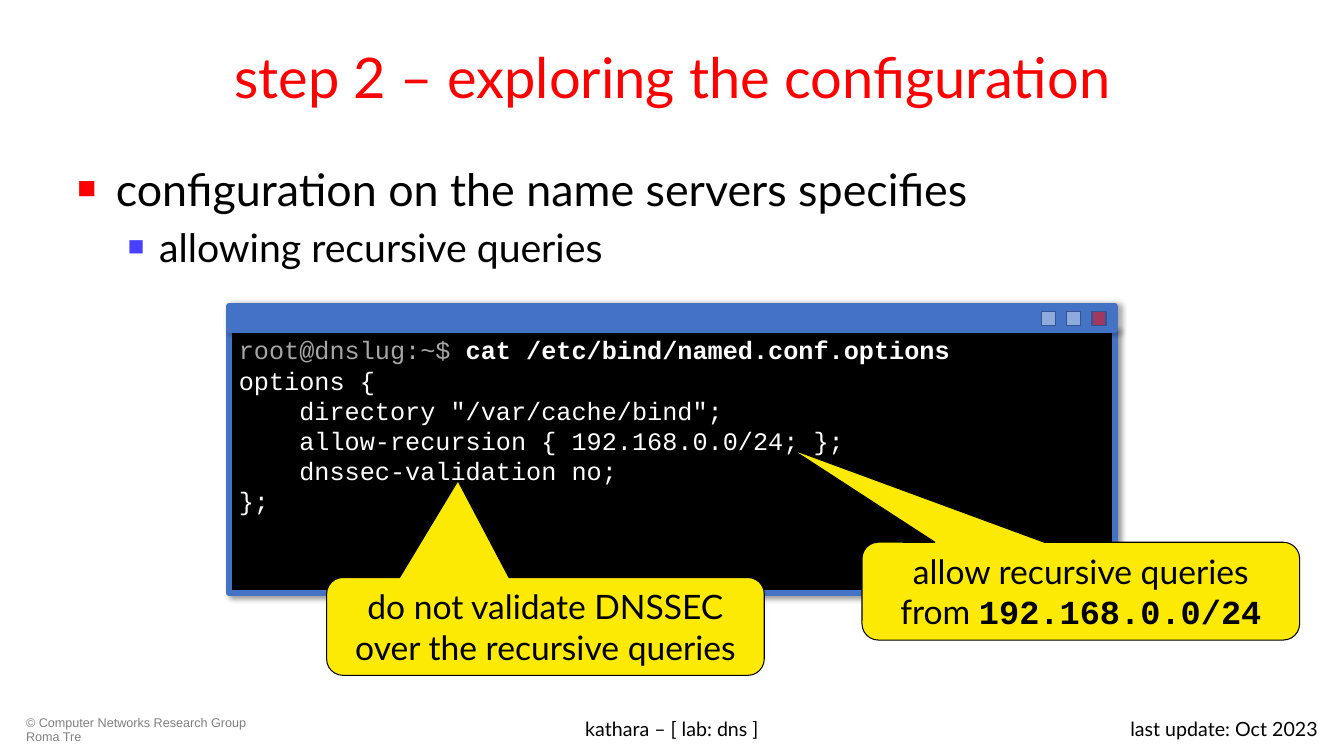
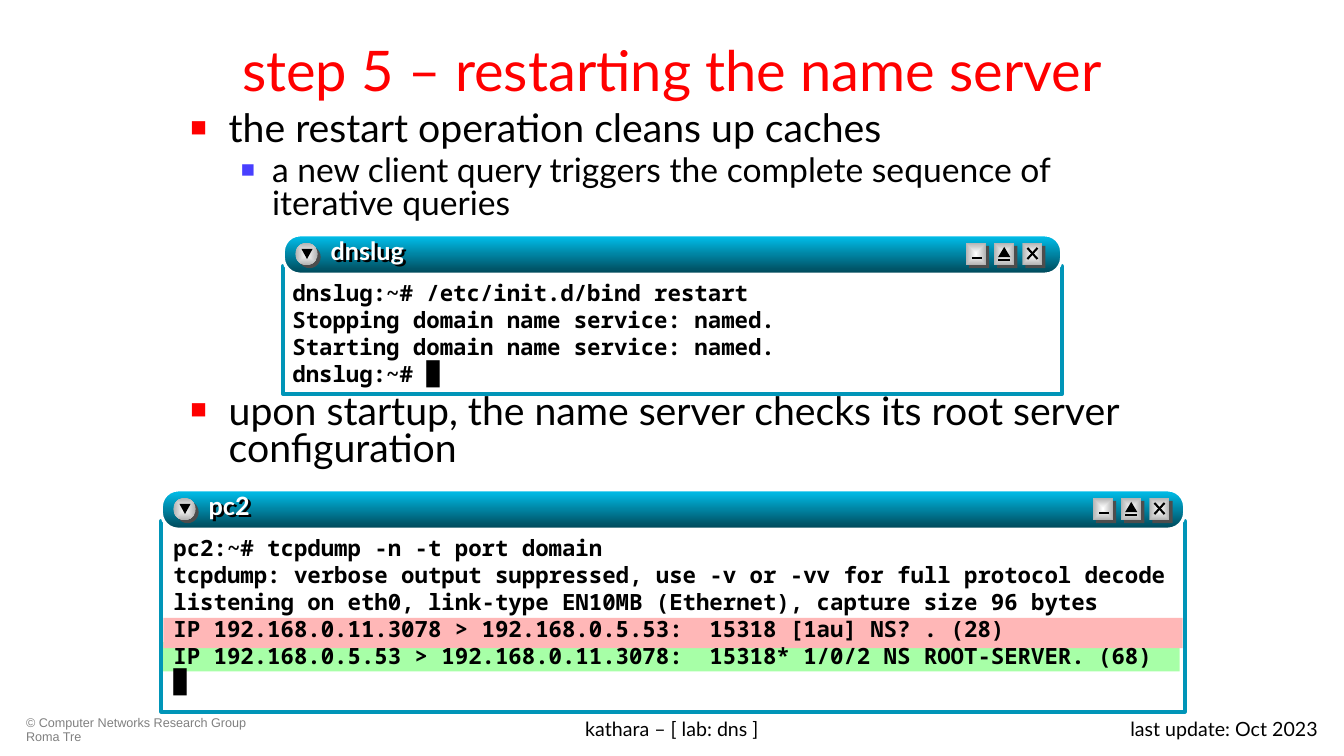
from lxml import etree
from pptx import Presentation
from pptx import util as u
from pptx.dml.color import RGBColor
from pptx.enum import shapes, text
from pptx.oxml import ns

RED, BLUE, BLACK, WHITE = "FF0000", "4472C4", "000000", "FFFFFF"
GREY, YELLOW, TEAL, DARK = "808080", "FCEA04", "0095B8", "4D4D4D"
BAR_GRADIENT, BUTTON_GRADIENT = ("00C1EE", "004656"), ("FFFFFF", "B2B2B2")
SANS, CODE, MONO = "Lato", "Courier New", "Noto Sans Mono"
SHAPE, ALIGN, ANCHOR = shapes.MSO_SHAPE, text.PP_ALIGN, text.MSO_ANCHOR
LEVELS = [(0.38, -0.38, RED), (0.81, -0.31, "483FFF")]


def color(value):
    """Turn a hex string into a colour."""
    return RGBColor.from_string(value)


def inches(*values):
    """Turn numbers into lengths."""
    return [u.Inches(value) for value in values]


def child(parent, tag, **attributes):
    """Append a drawing element to a parent."""
    values = {name: str(value) for name, value in attributes.items()}
    return etree.SubElement(parent, ns.qn(tag), values)


def style_span(span, size, font, fill, bold=False):
    """Format one run."""
    span.font.size = u.Pt(size)
    span.font.name = font
    span.font.bold = bold
    span.font.color.rgb = color(fill)


def write(box, paragraphs, size, font=SANS, fill=BLACK, bold=False,
          align=ALIGN.LEFT, anchor=ANCHOR.TOP, insets=(0.1, 0.05)):
    """Fill a shape with paragraphs of text."""
    frame = box.text_frame
    frame.word_wrap = True
    frame.vertical_anchor = anchor
    frame.margin_left = frame.margin_right = u.Inches(insets[0])
    frame.margin_top = frame.margin_bottom = u.Inches(insets[1])
    frame.text = "\n".join(paragraphs)
    for para in frame.paragraphs:
        para.alignment = align
        for span in para.runs:
            style_span(span, size, font, fill, bold)
    return frame


def add_span(para, words, *style):
    """Append a formatted run to a paragraph."""
    span = para.add_run()
    span.text = words
    style_span(span, *style)


def add_text(owner, at, paragraphs, size, **style):
    """Add a text box."""
    box = owner.shapes.add_textbox(*inches(*at))
    write(box, paragraphs, size, **style)
    return box


def add_shape(owner, kind, at, fill=None, line=None, width=1):
    """Add a preset shape with a plain fill and outline."""
    shape = owner.shapes.add_shape(kind, *inches(*at))
    shape.shadow.inherit = False
    if fill:
        shape.fill.solid()
        shape.fill.fore_color.rgb = color(fill)
    else:
        shape.fill.background()
    if line:
        shape.line.color.rgb = color(line)
        shape.line.width = u.Pt(width)
    else:
        shape.line.fill.background()
    return shape


def set_gradient(shape, stops, radial=False):
    """Fill a shape with a two-colour gradient."""
    shape.fill.gradient()
    for stop, value in zip(shape.fill.gradient_stops, stops):
        stop.color.rgb = color(value)
    if not radial:
        shape.fill.gradient_angle = 270
        return
    gradient = shape.element.spPr.find(ns.qn("a:gradFill"))
    gradient.remove(gradient.find(ns.qn("a:lin")))
    center = child(gradient, "a:path", path="shape")
    child(center, "a:fillToRect", l=50000, t=50000, r=50000, b=50000)


def set_shadow(shape, alpha, blur, distance, angle):
    """Give a shape a black outer shadow."""
    shape.shadow.inherit = False
    effects = shape.element.spPr.find(ns.qn("a:effectLst"))
    shadow = child(effects, "a:outerShdw", blurRad=u.Pt(blur), dist=u.Pt(distance),
                   dir=angle * 60000, algn="tl", rotWithShape=0)
    child(child(shadow, "a:srgbClr", val=BLACK), "a:alpha", val=alpha * 1000)


def add_line(owner, start, end):
    """Draw a thin black stroke."""
    line = owner.shapes.add_connector(shapes.MSO_CONNECTOR.STRAIGHT,
                                      *inches(*start, *end))
    line.line.color.rgb = color(BLACK)
    line.line.width = u.Pt(1.5)
    child(line.element.spPr, "a:effectLst")


def add_bullets(page, at, items, spacing=1.0):
    """Add a bulleted list of (level, size, words)."""
    box = add_text(page, at, [words for _, _, words in items], items[0][1])
    for index, (para, (level, size, _)) in enumerate(zip(box.text_frame.paragraphs, items)):
        margin, indent, bullet_color = LEVELS[level]
        para.level = level
        props = para._p.get_or_add_pPr()
        props.set("marL", str(u.Inches(margin)))
        props.set("indent", str(u.Inches(indent)))
        child(child(props, "a:buClr"), "a:srgbClr", val=bullet_color)
        child(props, "a:buSzPct", val=70000)
        child(props, "a:buFont", typeface="Arial")
        child(props, "a:buChar", char="■")
        para.line_spacing = spacing
        para.space_before = u.Pt(0.2 * size if index else 0)
        para.runs[0].font.size = u.Pt(size)


def add_page(deck, title, title_at):
    """Add a slide with its title and footers."""
    page = deck.slides.add_slide(deck.slide_layouts[6])
    owner = add_text(page, (0.16, 7.06, 2.49, 0.36),
                     ["© Computer Networks Research Group Roma Tre"], 9,
                     font="Arial", fill=GREY)
    owner.text_frame.paragraphs[0].line_spacing = 0.9
    add_text(page, title_at, [title], 40, fill=RED, align=ALIGN.CENTER,
             anchor=ANCHOR.MIDDLE)
    add_text(page, (10.13, 7.06, 3.04, 0.36), ["last update: Oct 2023"], 14,
             align=ALIGN.RIGHT)
    add_text(page, (3.41, 7.06, 6.51, 0.36), ["kathara – [ lab: dns ]"], 14,
             align=ALIGN.CENTER)
    return page


def add_terminal(page, left, top, width, height, prompt, command, output):
    """Add a dark terminal with a blue title bar."""
    group = page.shapes.add_group_shape()
    bar_height, side = 0.23, 0.14
    screen = add_shape(group, SHAPE.RECTANGLE, (left, top + bar_height, width, height),
                       BLACK, BLUE, 4.5)
    set_shadow(screen, 40, 4, 3, 45)
    frame = write(screen, [prompt] + output, 18, font=CODE, fill=WHITE)
    first = frame.paragraphs[0]
    first.runs[0].font.color.rgb = color("A6A6A6")
    add_span(first, command, 18, CODE, WHITE, True)
    bar = add_shape(group, SHAPE.RECTANGLE, (left, top, width, bar_height),
                    BLUE, BLUE, 4.5)
    set_shadow(bar, 32, 4, 2, 0)
    for index, fill in enumerate(["8FAADC", "8FAADC", RED]):
        button = add_shape(group, SHAPE.RECTANGLE,
                           (left + width - 0.73 + 0.25 * index, top + 0.05, side, side),
                           fill, "325491")
    solid = button.element.spPr.find(ns.qn("a:solidFill"))
    child(solid[0], "a:alpha", val=50000)


def add_callout(page, at, tip, words):
    """Add a yellow callout that points at a line of code."""
    callout = add_shape(page, SHAPE.ROUNDED_RECTANGULAR_CALLOUT, at, YELLOW, BLACK, 0.75)
    callout.adjustments[0], callout.adjustments[1] = tip
    return write(callout, [words], 24, align=ALIGN.CENTER, anchor=ANCHOR.MIDDLE)


def add_button(group, kind, left, top, width):
    """Add a raised grey button."""
    add_shape(group, kind, (left + 0.03, top + 0.03, width, 0.22), DARK)
    face = add_shape(group, kind, (left, top, width, 0.22), WHITE)
    set_gradient(face, BUTTON_GRADIENT, radial=True)


def add_window(page, left, top, width, height, name, lines, text_left, buttons_left):
    """Add a light terminal window with a teal title bar."""
    group = page.shapes.add_group_shape()
    add_shape(group, SHAPE.RECTANGLE, (left, top + 0.31, width, height), None, TEAL, 3)
    add_text(group, (text_left, top + 0.4, width - 0.03, height - 0.1), lines, 16,
             font=MONO, bold=True, insets=(0.08, 0.04))
    bar = add_shape(group, SHAPE.ROUNDED_RECTANGLE, (left, top, width, 0.39),
                    TEAL, WHITE, 2.25)
    bar.adjustments[0] = 0.43
    set_gradient(bar, BAR_GRADIENT)

    add_button(group, SHAPE.OVAL, left + 0.12, top + 0.08, 0.22)
    arrow = add_shape(group, SHAPE.ISOSCELES_TRIANGLE,
                      (left + 0.18, top + 0.14, 0.11, 0.1), BLACK)
    arrow.element.spPr.find(ns.qn("a:xfrm")).set("flipV", "1")

    minimize, maximize, close = [buttons_left + 0.28 * index for index in range(3)]
    y = top + 0.08
    for x in (minimize, maximize, close):
        add_button(group, SHAPE.RECTANGLE, x, y, 0.2)
    add_line(group, (minimize + 0.06, y + 0.15), (minimize + 0.16, y + 0.15))
    add_line(group, (maximize + 0.04, y + 0.17), (maximize + 0.16, y + 0.17))
    add_shape(group, SHAPE.ISOSCELES_TRIANGLE, (maximize + 0.04, y + 0.04, 0.12, 0.1), BLACK)
    for start, end in ((0.16, 0.05), (0.05, 0.16)):
        add_line(group, (close + 0.05, y + start), (close + 0.15, y + end))

    label = add_text(group, (left + 0.47, top, 3.06, 0.39), [name], 18,
                     fill=WHITE, bold=True, insets=(0, 0))
    set_shadow(label, 100, 0, 2.8, 45)


def build_configuration(deck):
    """Build the slide on the name server configuration."""
    page = add_page(deck, "step 2 – exploring the configuration", (0.67, 0.13, 12, 1.25))
    add_bullets(page, (0.67, 1.55, 12, 5.15), [
        (0, 32, "configuration on the name servers specifies"),
        (1, 28, "allowing recursive queries")])
    add_terminal(page, 2.27, 3.04, 8.79, 2.61, "root@dnslug:~$ ",
                 "cat /etc/bind/named.conf.options", [
                     "options {",
                     "    directory \"/var/cache/bind\";",
                     "    allow-recursion { 192.168.0.0/24; };",
                     "    dnssec-validation no;",
                     "};"])
    frame = add_callout(page, (8.55, 5.38, 4.34, 0.97), (-0.66, -1.45),
                        "allow recursive queries from ")
    add_span(frame.paragraphs[0], "192.168.0.0/24", 24, CODE, BLACK, True)
    add_callout(page, (3.24, 5.73, 4.34, 0.97), (-0.2, -1.49),
                "do not validate DNSSEC over the recursive queries")


def build_restart(deck):
    """Build the slide on restarting the name server."""
    page = add_page(deck, "step 5 – restarting the name server", (1.79, 0.3, 9.75, 0.77))
    add_bullets(page, (1.79, 1.07, 9.75, 1.2), [
        (0, 28, "the restart operation cleans up caches"),
        (1, 24, "a new client query triggers the complete sequence of iterative queries")],
        0.8)
    add_bullets(page, (1.79, 3.87, 9.75, 0.9), [
        (0, 28, "upon startup, the name server checks its root server configuration")], 0.8)
    add_shape(page, SHAPE.RECTANGLE, (1.6, 6.37, 10.1, 0.29), "A7FFA7")
    add_shape(page, SHAPE.RECTANGLE, (1.62, 6.13, 10.11, 0.3), "FFB7B7")
    add_window(page, 2.81, 2.33, 7.72, 1.27, "dnslug", [
        "dnslug:~# /etc/init.d/bind restart",
        "Stopping domain name service: named.",
        "Starting domain name service: named.",
        "dnslug:~# █"], 2.82, 9.58)
    add_window(page, 1.6, 4.86, 10.15, 1.89, "pc2", [
        "pc2:~# tcpdump -n -t port domain",
        "tcpdump: verbose output suppressed, use -v or -vv for full protocol decode",
        "listening on eth0, link-type EN10MB (Ethernet), capture size 96 bytes",
        "IP 192.168.0.11.3078 > 192.168.0.5.53:  15318 [1au] NS? . (28)",
        "IP 192.168.0.5.53 > 192.168.0.11.3078:  15318* 1/0/2 NS ROOT-SERVER. (68)",
        "█"], 1.64, 10.84)


def main():
    """Build and save the deck."""
    deck = Presentation()
    deck.slide_width, deck.slide_height = inches(13.33, 7.5)
    build_configuration(deck)
    build_restart(deck)
    deck.save("out.pptx")


if __name__ == "__main__":
    main()
